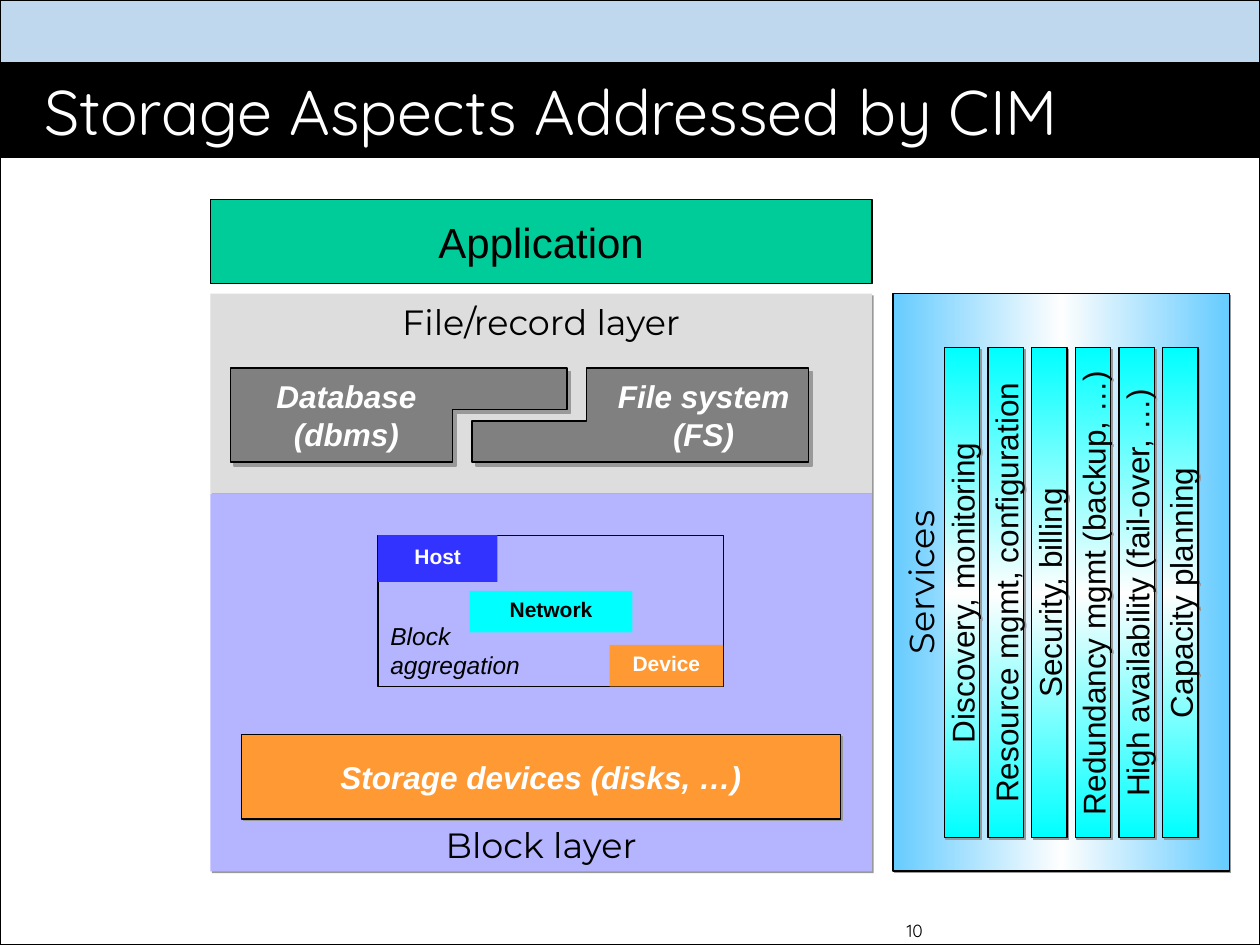
from lxml.etree import SubElement
from pptx import Presentation
from pptx.dml.color import RGBColor
from pptx.enum.shapes import MSO_SHAPE
from pptx.enum.text import MSO_ANCHOR, PP_ALIGN
from pptx.oxml import parse_xml
from pptx.oxml.ns import nsdecls, qn
from pptx.util import Cm, Pt

TOP, MID, LOW = MSO_ANCHOR.TOP, MSO_ANCHOR.MIDDLE, MSO_ANCHOR.BOTTOM
LEFT, MIDST, RIGHT = PP_ALIGN.LEFT, PP_ALIGN.CENTER, PP_ALIGN.RIGHT


def tint(code):
    """Turn a hex string into a colour."""
    return RGBColor.from_string(code)


def shade(shape, dist):
    """Cast a hard grey shadow to the lower right."""
    effects = shape._element.spPr.find(qn("a:effectLst"))
    cast = SubElement(effects, qn("a:outerShdw"), dist=str(Pt(dist)),
                      dir="2700000", algn="ctr", rotWithShape="0")
    SubElement(cast, qn("a:srgbClr"), val="999999")


def paint(shape, fill=None, line=None, width=0.75, dist=0):
    """Set fill, outline and shadow of a shape."""
    shape.shadow.inherit = False
    if fill:
        shape.fill.solid()
        shape.fill.fore_color.rgb = tint(fill)
    else:
        shape.fill.background()
    if line:
        shape.line.color.rgb = tint(line)
        shape.line.width = Pt(width)
    else:
        shape.line.fill.background()
    if dist:
        shade(shape, dist)


def blend(shape, edge, angle):
    """Fill a shape from edge colour to white and back, at a page angle."""
    stops = "".join(f'<a:gs pos="{pos}"><a:srgbClr val="{code}"/></a:gs>'
                    for pos, code in ((0, edge), (50000, "FEFEFE"), (100000, edge)))
    grad = parse_xml(f'<a:gradFill {nsdecls("a")} rotWithShape="0"><a:gsLst>{stops}'
                     f'</a:gsLst><a:lin ang="{angle * 60000}" scaled="1"/></a:gradFill>')
    props = shape._element.spPr
    props.replace(props.find(qn("a:solidFill")), grad)


def write(shape, text, size, face="Arial", color="000000", bold=False, slant=False,
          align=MIDST, anchor=MID, wrap=False, space=None, pad=0.13):
    """Put one styled paragraph into a shape."""
    frame = shape.text_frame
    frame.word_wrap = wrap
    frame.vertical_anchor = anchor
    frame.margin_top = frame.margin_bottom = Cm(pad)
    para = frame.paragraphs[0]
    para.text = text
    para.alignment = align
    if space:
        para.line_spacing = space
    font = para.font
    font.name, font.size, font.bold, font.italic = face, Pt(size), bold, slant
    font.color.rgb = tint(color)


def rect(slide, x, y, w, h, fill=None, line=None, dist=0):
    """Add a painted rectangle."""
    shape = slide.shapes.add_shape(MSO_SHAPE.RECTANGLE, Cm(x), Cm(y), Cm(w), Cm(h))
    paint(shape, fill, line, dist=dist)
    return shape


def label(slide, x, y, w, h, text, size, **style):
    """Add a text box."""
    write(slide.shapes.add_textbox(Cm(x), Cm(y), Cm(w), Cm(h)), text, size, **style)


def turned(slide, x, y, w, h, fill):
    """Add a rectangle read upwards that covers the given box."""
    shape = rect(slide, x + (w - h) / 2, y + (h - w) / 2, h, w, fill, "000000", 1.4)
    shape.rotation = 270
    return shape


def header(slide, x, y, w, h):
    """Draw the band, the page frame and the title bar."""
    rect(slide, x, y, w, 1.27, "C0D8EE")
    rect(slide, x, y, w, h, line="000000")
    rect(slide, x, y + 1.27, w, 1.9, "000000", "000000")
    label(slide, x + 0.64, y + 1.27, w - 1.27, 1.9, "Storage Aspects Addressed by CIM",
          36, face="Quicksand", color="FFFFFF", align=LEFT, wrap=True)


def notched(slide, x, y, w, h, spots):
    """Draw a grey outline from points given as shares of the box."""
    points = [(Cm(x + w * u), Cm(y + h * v)) for u, v in spots]
    pen = slide.shapes.build_freeform(*points[0], scale=1.0)
    pen.add_line_segments(points[1:], close=True)
    paint(pen.convert_to_shape(), "808080", "000000", 1, 2.8)


def files(slide, x, y, w, h):
    """Draw the file and record layer with its two interlocked parts."""
    write(rect(slide, x, y, w, h, "DDDDDD", dist=1.4), "File/record layer", 20,
          face="Montserrat", anchor=TOP)
    spots = [(0, 0), (0, 1), (0.66, 1), (0.66, 0.44), (1, 0.44), (1, 0)]
    flip = [(1 - u, 1 - v) for u, v in spots]
    parts = [(0.41, spots, 0.84, 3.81, "Database\v(dbms)"),
             (5.28, flip, 7.62, 4.65, "File system\v(FS)")]
    for left, shape, inset, wide, text in parts:
        notched(slide, x + left, y + 1.5, 6.78, 1.9, shape)
        label(slide, x + inset, y + 1.69, wide, 1.52, text, 18, color="FFFFFF",
              bold=True, slant=True, anchor=TOP, wrap=True, pad=0)


def merge(slide, x, y, w, h):
    """Draw the block aggregation box with its three places."""
    rect(slide, x, y, w, h, "B5B5FF", "000000")
    parts = [(1.85, 1.12, 3.28, 0.84, "00FFFF", "Network", "000000"),
             (0, 0, 2.41, 0.94, "3333FF", "Host", "FFFFFF"),
             (w - 2.29, h - 0.84, 2.29, 0.84, "FF9933", "Device", "FFFFFF")]
    for left, top, wide, high, fill, text, color in parts:
        write(rect(slide, x + left, y + top, wide, high, fill), text, 12,
              color=color, bold=True, space=0.8)
    label(slide, x, y + 1.6, 3.12, 1.45, "Block\vaggregation", 14, slant=True,
          align=LEFT, anchor=TOP)


def blocks(slide, x, y, w, h):
    """Draw the block layer."""
    write(rect(slide, x, y, w, h, "B5B5FF", dist=1.4), "Block layer", 20,
          face="Montserrat", anchor=LOW)
    write(rect(slide, x + 0.63, y + 4.86, w - 1.27, 1.7, "FF9933", "000000", 1.4),
          "Storage devices (disks, …)", 18, color="FFFFFF", bold=True, slant=True)
    merge(slide, x + 3.38, y + 0.84, 6.96, 3.05)


def service(slide, x, y, w, h):
    """Draw the services panel with its row of upright bars."""
    panel = turned(slide, x, y, w, h, "66CCFF")
    blend(panel, "66CCFF", 180)
    write(panel, "Services", 20, face="Montserrat", anchor=TOP)
    names = ["Discovery, monitoring", "Resource mgmt, configuration",
             "Security, billing", "Redundancy mgmt (backup, …)",
             "High availability (fail-over, …)", "Capacity planning"]
    for step, name in enumerate(names):
        bar = turned(slide, x + 1.04 + 0.88 * step, y + 1.09, 0.71, 9.88, "00FFFF")
        blend(bar, "00FFFF", 90)
        write(bar, name, 18)


def main():
    """Build and save the slide."""
    deck = Presentation()
    deck.slide_width, deck.slide_height = Cm(25.4), Cm(19.05)
    slide = deck.slides.add_slide(deck.slide_layouts[6])
    header(slide, 0, 0, 25.4, 19.05)
    files(slide, 4.24, 5.92, 13.34, 4.03)
    blocks(slide, 4.24, 9.95, 13.34, 7.62)
    write(rect(slide, 4.24, 4.02, 13.34, 1.7, "00CC99", "000000"), "Application", 24)
    service(slide, 18, 5.92, 6.78, 11.64)
    label(slide, 15.88, 18.42, 2.97, 0.63, "10", 10, face="Quicksand", align=RIGHT,
          anchor=TOP, wrap=True)
    deck.save("out.pptx")


if __name__ == "__main__":
    main()
